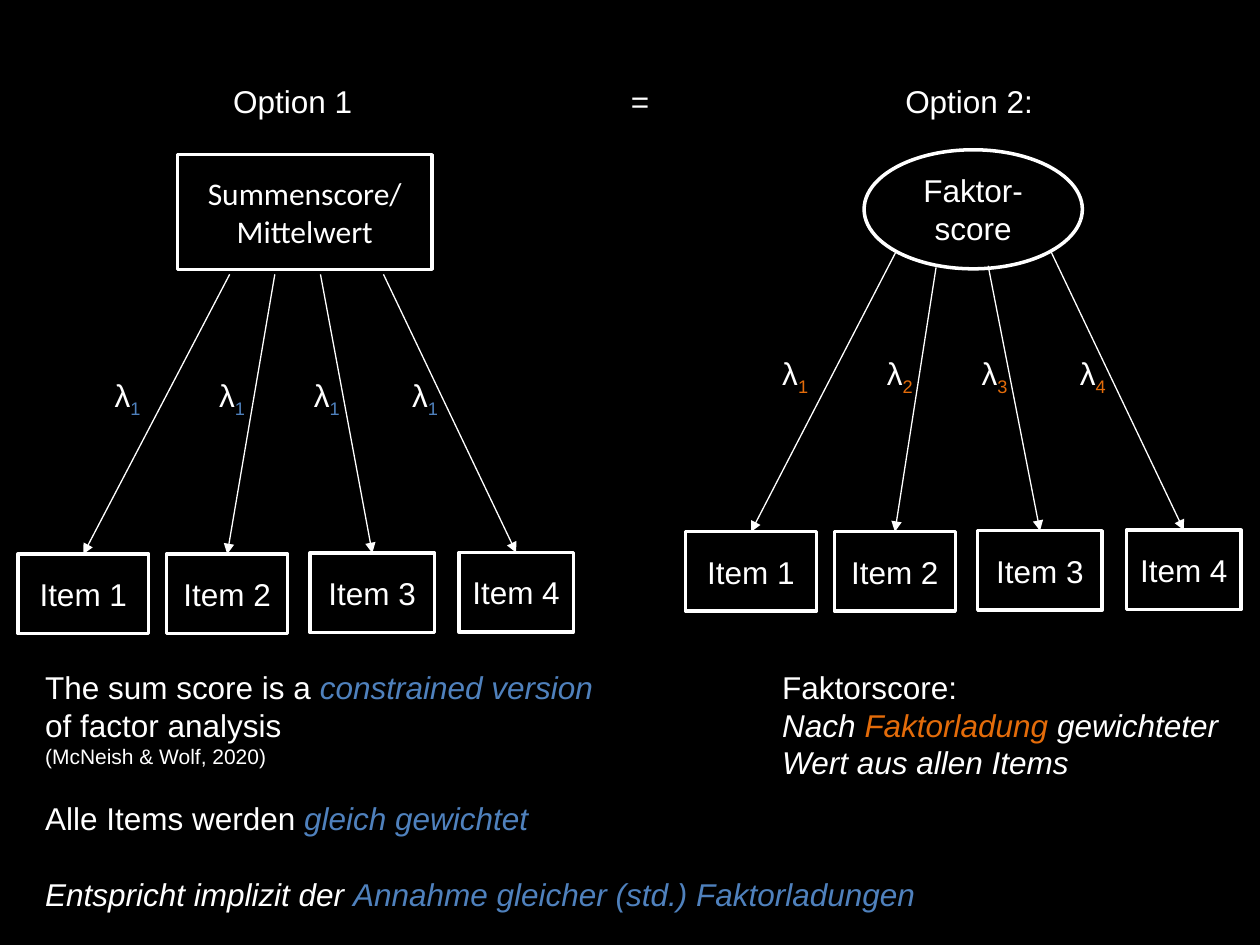
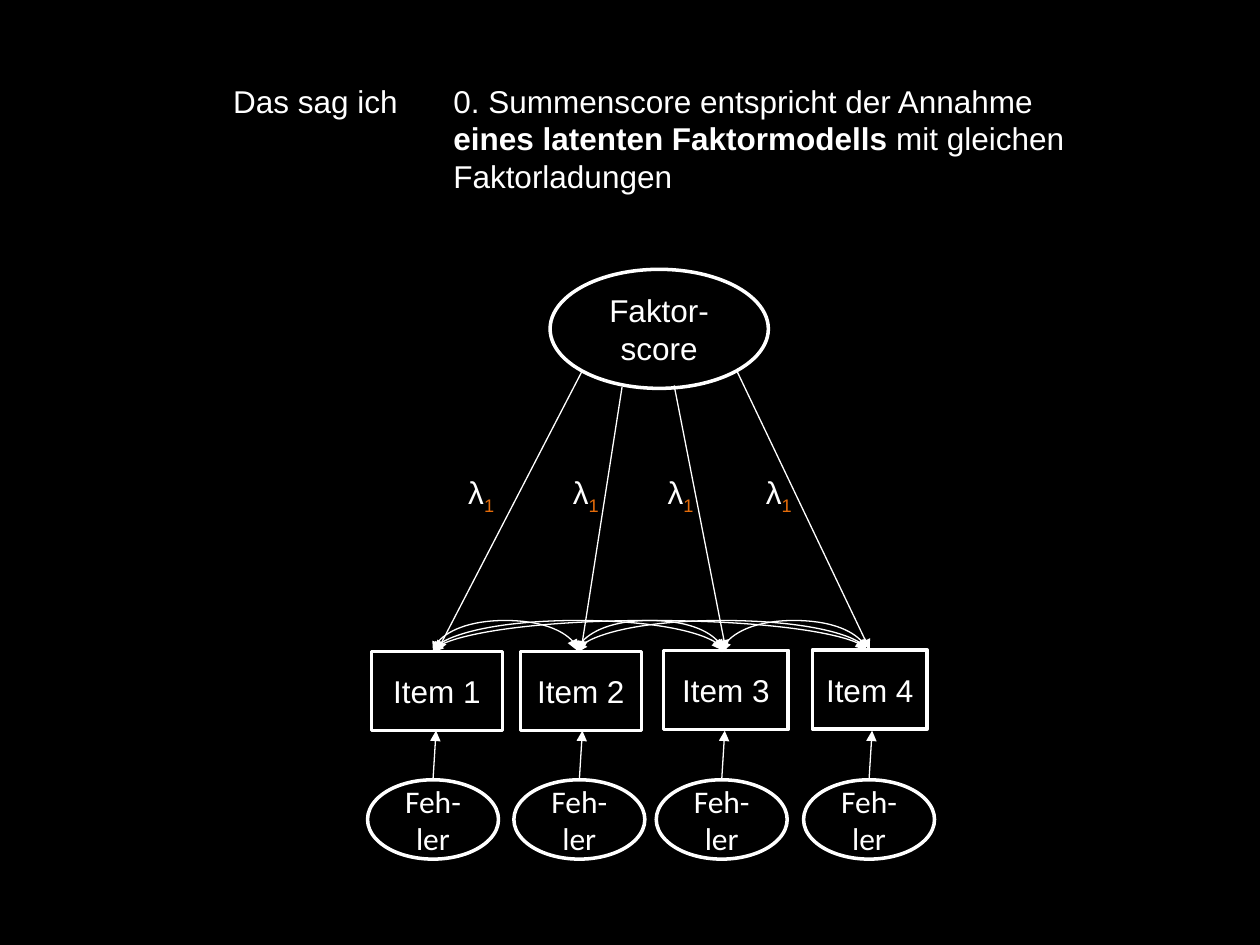
from itertools import combinations

from lxml.etree import SubElement
from pptx import Presentation
from pptx.dml.color import RGBColor
from pptx.enum.shapes import MSO_CONNECTOR as Link, MSO_SHAPE as Shape
from pptx.enum.text import MSO_ANCHOR as Anchor, PP_ALIGN as Align
from pptx.oxml.ns import qn
from pptx.util import Cm, Pt

BLACK = RGBColor(0x00, 0x00, 0x00)
WHITE = RGBColor(0xFF, 0xFF, 0xFF)
BLUE = RGBColor(0x4F, 0x81, 0xBD)
ORANGE = RGBColor(0xE4, 0x6C, 0x0A)

ITEM_LEFTS = (0, 3, 5.89, 8.89)
ITEM_WIDTHS = (2.64, 2.44, 2.51, 2.31)
ITEM_RISES = (0, 0, 0.02, 0.03)
ITEM_HEIGHT = 1.6
ITEM_CENTRES = [left + width / 2 for left, width in zip(ITEM_LEFTS, ITEM_WIDTHS)]
LOADING_LEFTS = (1.7, 3.81, 5.72, 7.7)
ERROR_LEFTS = (-0.08, 2.87, 5.74, 8.71)
SCORE_TO_ITEMS = 7.7
SUM_STARTS = ((4.27, 2.06), (5.18, 2.06), (6.1, 2.06), (7.37, 2.06))
FACTOR_STARTS = ((4.24, 2.06), (5.05, 2.37), (6.1, 2.34), (7.37, 2.06))


def write(paragraph, runs, font="Arial", size=18):
    """Fill a paragraph with runs of (text, colour, further font settings)."""
    paragraph.font.name, paragraph.font.size = font, Pt(size)
    for text, colour, *settings in runs:
        run = paragraph.add_run()
        run.text = text
        run.font.color.rgb = colour
        for setting in settings:
            setattr(run.font, setting, True)


def add_text(slide, left, top, width, height, *paragraphs):
    """Add a wrapping text box with one list of runs per paragraph."""
    frame = slide.shapes.add_textbox(Cm(left), Cm(top), Cm(width), Cm(height)).text_frame
    frame.word_wrap = True
    for index, runs in enumerate(paragraphs):
        write(frame.add_paragraph() if index else frame.paragraphs[0], runs)
    return frame


def add_node(slide, kind, left, top, width, height, *lines, font="Arial"):
    """Add an outlined node with centred lines."""
    node = slide.shapes.add_shape(kind, Cm(left), Cm(top), Cm(width), Cm(height))
    node.shadow.inherit = False
    node.fill.background()
    node.line.color.rgb, node.line.width = WHITE, Pt(2)
    frame = node.text_frame
    frame.vertical_anchor = Anchor.MIDDLE
    for index, line in enumerate(lines):
        paragraph = frame.add_paragraph() if index else frame.paragraphs[0]
        paragraph.alignment = Align.CENTER
        write(paragraph, [(line, WHITE)], font)


def add_arrow(slide, x1, y1, x2, y2, kind=Link.STRAIGHT, ends=("tailEnd",)):
    """Add a thin white connector with triangular heads."""
    arrow = slide.shapes.add_connector(kind, Cm(x1), Cm(y1), Cm(x2), Cm(y2))
    arrow.line.color.rgb, arrow.line.width = WHITE, Pt(0.75)
    properties = arrow._element.spPr
    for end in ends:
        SubElement(properties.find(qn("a:ln")), qn(f"a:{end}"), type="triangle")
    SubElement(properties, qn("a:effectLst"))
    return properties


def add_arc(slide, x1, x2, y, rise=0.64, depth=0.04):
    """Bow a double-headed curve upwards between two points at one height."""
    middle, span = (x1 + x2) / 2, x2 - x1
    properties = add_arrow(slide, middle - depth / 2, y - span / 2, middle + depth / 2,
                           y + span / 2, Link.CURVE, ("headEnd", "tailEnd"))
    frame = properties.find(qn("a:xfrm"))
    for key, value in (("rot", "5400000"), ("flipH", "1"), ("flipV", "1")):
        frame.set(key, value)
    guides = properties.find(qn("a:prstGeom")).find(qn("a:avLst"))
    SubElement(guides, qn("a:gd"), name="adj1", fmla=f"val {round(rise / depth * 100000)}")


def add_model(slide, left, top, starts, loadings, colour):
    """Draw four items with the loading arrows that come from the score at top."""
    row = top + SCORE_TO_ITEMS
    items = zip(ITEM_LEFTS, ITEM_WIDTHS, ITEM_RISES)
    for number, (x, width, rise) in enumerate(items, 1):
        add_node(slide, Shape.RECTANGLE, left + x, row - rise, width, ITEM_HEIGHT, f"Item {number}")
    for (x, y), centre, rise in zip(starts, ITEM_CENTRES, ITEM_RISES):
        add_arrow(slide, left + x, top + y, left + centre, row - rise)
    for x, loading in zip(LOADING_LEFTS, loadings):
        frame = add_text(slide, left + x, top + 3.99, 1.98, 1.02, [("λ", WHITE), (loading, colour)])
        subscript = frame.paragraphs[0].runs[1]
        subscript._r.get_or_add_rPr().set("baseline", "-25000")


def add_sum_model(slide, left, top):
    """Draw the sum score with equal loadings."""
    add_node(slide, Shape.RECTANGLE, left + 3.22, top - 0.35, 5.13, 2.31,
             "Summenscore/", "Mittelwert", font="Calibri")
    add_model(slide, left, top, SUM_STARTS, "1111", BLUE)


def add_factor_model(slide, left, top, loadings):
    """Draw the factor score with the given loadings."""
    add_node(slide, Shape.OVAL, left + 3.6, top, 4.4, 2.4, "Faktor-score")
    add_model(slide, left, top, FACTOR_STARTS, loadings, ORANGE)


def add_errors(slide, left, top):
    """Link the items with arcs and place an error term under each."""
    for x1, x2 in combinations(ITEM_CENTRES, 2):
        add_arc(slide, left + x1 - 0.08, left + x2 - 0.08, top)
    for x in ERROR_LEFTS:
        add_node(slide, Shape.OVAL, left + x, top + 2.59, 2.64, 1.6, "Feh-ler", font="Calibri")
        centre = left + x + 1.32
        add_arrow(slide, centre, top + 2.57, centre + 0.06, top + ITEM_HEIGHT)


def add_black_slide(deck):
    """Add a blank slide with a black background."""
    slide = deck.slides.add_slide(deck.slide_layouts[6])
    slide.background.fill.solid()
    slide.background.fill.fore_color.rgb = BLACK
    return slide


def build_comparison(deck):
    """Set the sum score beside the factor score."""
    slide = add_black_slide(deck)
    for left, heading in ((4.45, "Option 1"), (12.47, "="), (18, "Option 2:")):
        add_text(slide, left, 1.52, 3.35, 1.02, [(heading, WHITE)])
    add_sum_model(slide, 0.36, 3.47)
    add_factor_model(slide, 13.82, 3.02, "1234")

    claim = add_text(
        slide, 0.66, 13.34, 11.61, 2.31,
        [("The sum score is a ", WHITE), ("constrained version ", BLUE, "italic"),
         ("of factor analysis", WHITE)],
        [("(McNeish & Wolf, 2020)", WHITE)])
    claim.paragraphs[1].font.size = Pt(12)
    add_text(
        slide, 15.52, 13.34, 9.8, 2.57,
        [("Faktorscore:", WHITE)],
        [("Nach ", WHITE, "italic"), ("Faktorladung", ORANGE, "italic"),
         (" gewichteter", WHITE, "italic")],
        [("Wert aus allen Items", WHITE, "italic")])
    weighting = add_text(
        slide, 0.66, 15.98, 19.86, 2.57,
        [("Alle Items werden ", WHITE), ("gleich gewichtet", BLUE, "italic")],
        [("Entspricht implizit der ", WHITE, "italic"),
         ("Annahme gleicher (std.) Faktorladungen", BLUE, "italic")])
    weighting.paragraphs[1].space_before = Pt(22)


def build_assumption(deck):
    """Show the latent factor model with equal loadings and error terms."""
    slide = add_black_slide(deck)
    add_text(slide, 4.45, 1.52, 4.37, 1.02, [("Das sag ich", WHITE)])
    add_text(slide, 8.89, 1.52, 13.54, 2.57,
             [("0. Summenscore entspricht der Annahme ", WHITE),
              ("eines latenten Faktormodells ", WHITE, "bold"),
              ("mit gleichen Faktorladungen", WHITE)])
    left, top = 7.49, 5.43
    add_factor_model(slide, left, top, "1111")
    add_errors(slide, left, top + SCORE_TO_ITEMS)


def main():
    """Build and save the deck."""
    deck = Presentation()
    deck.slide_width, deck.slide_height = Cm(25.4), Cm(19.05)
    build_comparison(deck)
    build_assumption(deck)
    deck.save("out.pptx")


if __name__ == "__main__":
    main()
